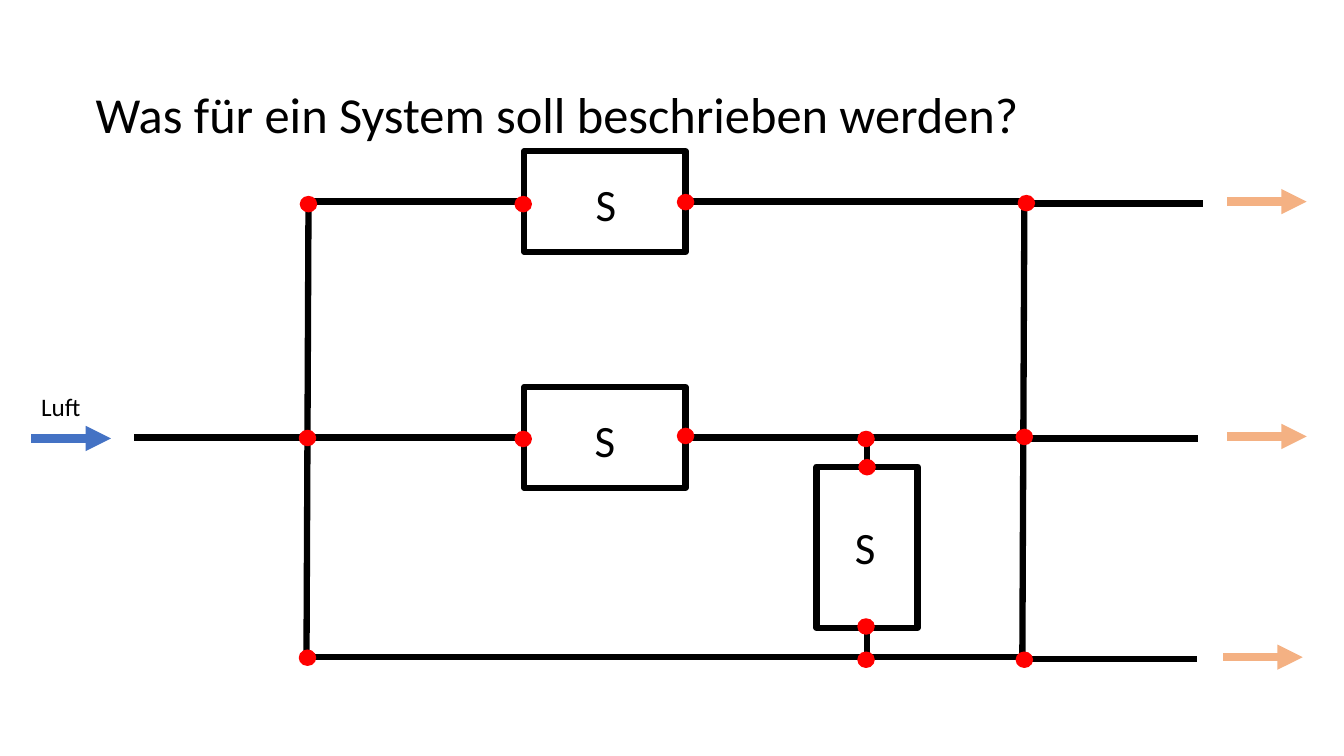
from dataclasses import dataclass
from typing import Optional

from lxml import etree
from pptx import Presentation
from pptx import util as u
from pptx.dml.color import RGBColor
from pptx.enum import shapes, text
from pptx.oxml import ns

BLACK = RGBColor(0x00, 0x00, 0x00)
RED = RGBColor(0xFF, 0x00, 0x00)
BLUE = RGBColor(0x44, 0x72, 0xC4)
ORANGE = RGBColor(0xF4, 0xB1, 0x83)
FONT = "Calibri"

TOP_SIDE, LEFT_SIDE, BOTTOM_SIDE, RIGHT_SIDE = range(4)
TOP_Y, MIDDLE_Y, BOTTOM_Y = 2.0, 4.34, 6.52
NODE_WIDTH, NODE_HEIGHT = 0.16, 0.15
ARROW_LENGTH = 0.79


@dataclass(frozen=True)
class Label:
    words: str
    left: float
    top: float
    width: float
    height: float
    size: int


@dataclass(frozen=True)
class Component:
    left: float
    top: float
    width: float
    height: float
    label: Label


@dataclass(frozen=True)
class Joint:
    component: str
    side: int


@dataclass(frozen=True)
class Wire:
    x1: float
    y1: float
    x2: float
    y2: float
    begin: Optional[Joint] = None
    end: Optional[Joint] = None


@dataclass(frozen=True)
class FlowArrow:
    x: float
    y: float
    color: RGBColor


def component_label(left: float, top: float) -> Label:
    return Label("S", left, top, 0.41, 0.64, 32)


TITLE = Label("Was für ein System soll beschrieben werden?", 0.85, 0.44, 11.5, 1.45, 36)
AIR = Label("Luft", 0.31, 3.83, 0.6, 0.4, 18)

COMPONENTS = {
    "upper": Component(5.2, 1.5, 1.6, 1, component_label(5.81, 1.7)),
    "middle": Component(5.2, 3.84, 1.6, 1, component_label(5.8, 4.05)),
    "bridge": Component(8.1, 4.63, 1, 1.6, component_label(8.38, 5.11)),
}

WIRES = [
    # outlets and inlet
    Wire(10.22, 2.02, 11.93, 2.02),
    Wire(10.17, 4.35, 11.88, 4.35),
    Wire(10.15, 6.54, 11.87, 6.54),
    Wire(1.33, MIDDLE_Y, 3.04, MIDDLE_Y),
    # risers
    Wire(3.06, TOP_Y, 3.04, BOTTOM_Y),
    Wire(10.16, TOP_Y, 10.14, BOTTOM_Y),
    # branches
    Wire(3.06, TOP_Y, 5.2, TOP_Y, end=Joint("upper", LEFT_SIDE)),
    Wire(6.8, TOP_Y, 10.17, TOP_Y, begin=Joint("upper", RIGHT_SIDE)),
    Wire(3.04, MIDDLE_Y, 5.2, MIDDLE_Y, end=Joint("middle", LEFT_SIDE)),
    Wire(6.8, MIDDLE_Y, 10.15, MIDDLE_Y, begin=Joint("middle", RIGHT_SIDE)),
    Wire(3.06, BOTTOM_Y, 10.14, BOTTOM_Y),
    Wire(8.6, 4.38, 8.6, 4.63, end=Joint("bridge", TOP_SIDE)),
    Wire(8.6, 6.23, 8.6, BOTTOM_Y, begin=Joint("bridge", BOTTOM_SIDE)),
]

NODES = [  # left, top
    (2.98, 1.95), (5.11, 1.95), (6.72, 1.93), (10.1, 1.94),
    (2.97, 4.27), (5.11, 4.28), (6.72, 4.25), (8.51, 4.28), (10.08, 4.26),
    (8.52, 4.56), (8.51, 6.14),
    (2.97, 6.45), (8.51, 6.47), (10.08, 6.47),
]

ARROWS = [
    FlowArrow(0.31, 4.35, BLUE),
    FlowArrow(12.17, TOP_Y, ORANGE),
    FlowArrow(12.17, 4.33, ORANGE),
    FlowArrow(12.13, BOTTOM_Y, ORANGE),
]


def add_label(page, label: Label, wrap: bool = False):
    box = page.shapes.add_textbox(
        *map(u.Inches, (label.left, label.top, label.width, label.height)))
    frame = box.text_frame
    frame.text = label.words
    frame.word_wrap = wrap
    font = frame.paragraphs[0].runs[0].font
    font.name, font.size = FONT, u.Pt(label.size)
    font.color.rgb = BLACK
    return box


def add_title(page) -> None:
    frame = add_label(page, TITLE, wrap=True).text_frame
    frame.vertical_anchor = text.MSO_ANCHOR.MIDDLE
    frame.paragraphs[0].line_spacing = 0.9


def add_component(page, component: Component):
    box = page.shapes.add_shape(
        shapes.MSO_SHAPE.RECTANGLE,
        *map(u.Inches, (component.left, component.top, component.width, component.height)))
    box.shadow.inherit = False
    box.fill.background()
    box.line.color.rgb, box.line.width = BLACK, u.Pt(4.5)
    return box


def add_line(page, x1: float, y1: float, x2: float, y2: float,
             color: RGBColor, weight: float):
    line = page.shapes.add_connector(
        shapes.MSO_CONNECTOR.STRAIGHT, *map(u.Inches, (x1, y1, x2, y2)))
    line.line.color.rgb, line.line.width = color, u.Pt(weight)
    etree.SubElement(line._element.spPr, ns.qn("a:effectLst"))
    return line


def add_wire(page, wire: Wire, boxes: dict) -> None:
    line = add_line(page, wire.x1, wire.y1, wire.x2, wire.y2, BLACK, 4.5)
    if wire.begin:
        line.begin_connect(boxes[wire.begin.component], wire.begin.side)
    if wire.end:
        line.end_connect(boxes[wire.end.component], wire.end.side)


def add_node(page, left: float, top: float) -> None:
    dot = page.shapes.add_shape(
        shapes.MSO_SHAPE.OVAL, *map(u.Inches, (left, top, NODE_WIDTH, NODE_HEIGHT)))
    dot.shadow.inherit = False
    dot.fill.solid()
    dot.fill.fore_color.rgb = RED
    dot.line.color.rgb, dot.line.width = RED, u.Pt(1)


def add_flow_arrow(page, arrow: FlowArrow) -> None:
    line = add_line(page, arrow.x, arrow.y, arrow.x + ARROW_LENGTH, arrow.y, arrow.color, 6)
    etree.SubElement(line.line._get_or_add_ln(), ns.qn("a:tailEnd"), type="triangle")


def main() -> None:
    deck = Presentation()
    deck.slide_width, deck.slide_height = u.Inches(13.33), u.Inches(7.5)
    page = deck.slides.add_slide(deck.slide_layouts[6])

    add_title(page)
    boxes = {name: add_component(page, component) for name, component in COMPONENTS.items()}
    for wire in WIRES:
        add_wire(page, wire, boxes)
    for left, top in NODES:
        add_node(page, left, top)
    for component in COMPONENTS.values():
        add_label(page, component.label)
    add_label(page, AIR)
    for arrow in ARROWS:
        add_flow_arrow(page, arrow)

    deck.save("out.pptx")


if __name__ == "__main__":
    main()
